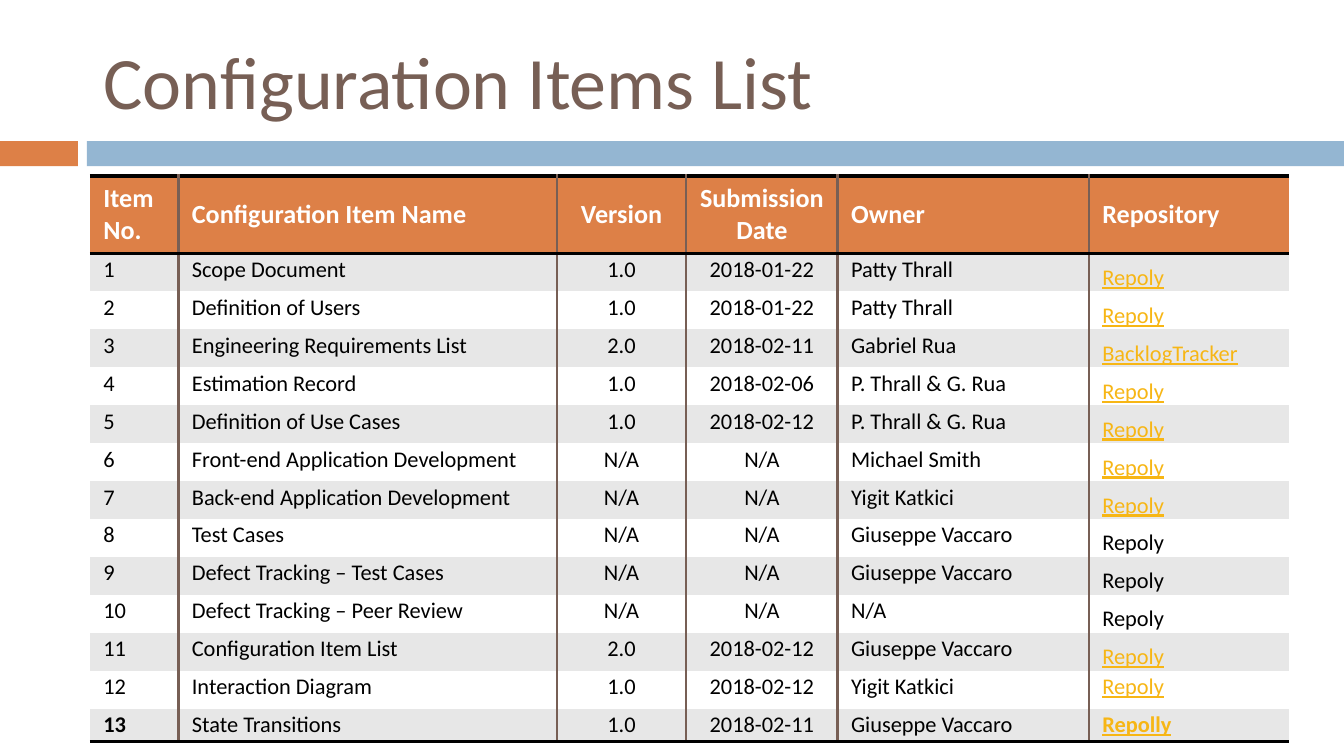
from lxml.etree import SubElement
from pptx import Presentation
from pptx.dml.color import RGBColor
from pptx.enum.shapes import MSO_SHAPE as Shape
from pptx.enum.text import MSO_ANCHOR as Anchor, MSO_AUTO_SIZE as AutoSize, PP_ALIGN as Align
from pptx.oxml.ns import qn
from pptx.util import Pt

# Content
TITLE = "Configuration Items List"
HEADER = ("Item No.", "Configuration Item Name", "Version", "Submission Date", "Owner", "Repository")
# name, version, submission date, owner, repository, repository is a link
ITEMS = [
    ("Scope Document", "1.0", "2018-01-22", "Patty Thrall", "Repoly", True),
    ("Definition of Users", "1.0", "2018-01-22", "Patty Thrall", "Repoly", True),
    ("Engineering Requirements List", "2.0", "2018-02-11", "Gabriel Rua", "BacklogTracker", True),
    ("Estimation Record", "1.0", "2018-02-06", "P. Thrall & G. Rua", "Repoly", True),
    ("Definition of Use Cases", "1.0", "2018-02-12", "P. Thrall & G. Rua", "Repoly", True),
    ("Front-end Application Development", "N/A", "N/A", "Michael Smith", "Repoly", True),
    ("Back-end Application Development", "N/A", "N/A", "Yigit Katkici", "Repoly", True),
    ("Test Cases", "N/A", "N/A", "Giuseppe Vaccaro", "Repoly", False),
    ("Defect Tracking – Test Cases", "N/A", "N/A", "Giuseppe Vaccaro", "Repoly", False),
    ("Defect Tracking – Peer Review", "N/A", "N/A", "N/A", "Repoly", False),
    ("Configuration Item List", "2.0", "2018-02-12", "Giuseppe Vaccaro", "Repoly", True),
    ("Interaction Diagram", "1.0", "2018-02-12", "Yigit Katkici", "Repoly", True),
    ("State Transitions", "1.0", "2018-02-11", "Giuseppe Vaccaro", "Repolly", True),
]

# Format
COLORS = {"brown": "775F55", "orange": "DD8047", "blue": "94B6D2", "gray": "E7E7E7",
          "white": "FFFFFF", "black": "000000", "link": "F7B615"}
FONT = "Calibri"
SLIDE_W, SLIDE_H = 720, 405
LEFT, WIDTH = 48.2, 642.2
TABLE_TOP = 94.3
COL_WIDTHS = (47.4, 202.8, 69.2, 81.2, 134.6, 107)
HEADER_H, ROW_H, LAST_ROW_H = 41.5, 20.35, 17.6
CENTERED = (2, 3)  # version and date columns
BARS = ((0, 41.8, "orange"), (46.6, SLIDE_W - 46.6, "blue"))
RULE, DIVIDER = ("black", 2), ("brown", 1.5)


def rgb(name):
    return RGBColor.from_string(COLORS[name])


def write(tf, text, size=12, color="black", bold=False, underline=False, align=Align.LEFT):
    p = tf.paragraphs[0]
    p.alignment = align
    r = p.add_run()
    r.text = text
    f = r.font
    f.name, f.size, f.bold, f.underline = FONT, Pt(size), bold, underline
    f.color.rgb = rgb(color)


def set_borders(cell, **borders):
    tcPr = cell._tc.get_or_add_tcPr()
    for side in "LRTB":
        ln = SubElement(tcPr, qn(f"a:ln{side}"))
        if borders.get(side):
            color, width = borders[side]
            ln.set("w", str(Pt(width)))
            fill = SubElement(ln, qn("a:solidFill"))
            SubElement(fill, qn("a:srgbClr"), val=COLORS[color])
        else:
            ln.set("w", "0")
            SubElement(ln, qn("a:noFill"))


def add_bars(s):
    for x, width, color in BARS:
        sp = s.shapes.add_shape(Shape.RECTANGLE, Pt(x), Pt(75.6), Pt(width), Pt(13.4))
        sp.shadow.inherit = False
        sp.fill.solid()
        sp.fill.fore_color.rgb = rgb(color)
        sp.line.fill.background()


def add_title(s):
    sp = s.shapes.title
    sp.left, sp.top, sp.width, sp.height = Pt(LEFT), Pt(13.7), Pt(WIDTH), Pt(58.3)
    tf = sp.text_frame
    tf.auto_size = AutoSize.NONE
    tf.vertical_anchor = Anchor.MIDDLE
    write(tf, TITLE, size=39.6, color="brown")


def add_items_table(s):
    last_row, last_col = len(ITEMS), len(HEADER) - 1
    heights = [HEADER_H] + [ROW_H] * (last_row - 1) + [LAST_ROW_H]
    table = s.shapes.add_table(last_row + 1, last_col + 1, Pt(LEFT), Pt(TABLE_TOP),
                               Pt(WIDTH), Pt(sum(heights))).table
    table.first_row = table.horz_banding = False
    for column, width in zip(table.columns, COL_WIDTHS):
        column.width = Pt(width)
    for row, height in zip(table.rows, heights):
        row.height = Pt(height)

    rows = [HEADER] + [(str(n), *item[:-1]) for n, item in enumerate(ITEMS, 1)]
    for i, values in enumerate(rows):
        for j, text in enumerate(values):
            cell = table.cell(i, j)
            set_borders(cell,
                        L=DIVIDER if j else None,
                        R=DIVIDER if j < last_col else None,
                        T=RULE if i in (0, 1) else None,
                        B=RULE if i in (0, last_row) else None)
            cell.fill.solid()
            align = Align.CENTER if j in CENTERED else Align.LEFT
            if i == 0:
                cell.fill.fore_color.rgb = rgb("orange")
                cell.vertical_anchor = Anchor.MIDDLE
                write(cell.text_frame, text, size=14, color="white", bold=True, align=align)
                continue
            # Body rows: repository sits at the bottom, except in the last two
            cell.fill.fore_color.rgb = rgb("gray" if i % 2 else "white")
            low = j == last_col and i < last_row - 1
            cell.vertical_anchor = Anchor.BOTTOM if low else Anchor.TOP
            cell.margin_top = cell.margin_bottom = Pt(0 if low else 1.44)
            link = j == last_col and ITEMS[i - 1][-1]
            write(cell.text_frame, text, color="link" if link else "black", underline=link,
                  bold=i == last_row and j in (0, last_col), align=align)


def main():
    prs = Presentation()
    prs.slide_width, prs.slide_height = Pt(SLIDE_W), Pt(SLIDE_H)
    s = prs.slides.add_slide(prs.slide_layouts[5])
    add_bars(s)
    add_title(s)
    add_items_table(s)
    prs.save("out.pptx")


if __name__ == "__main__":
    main()
